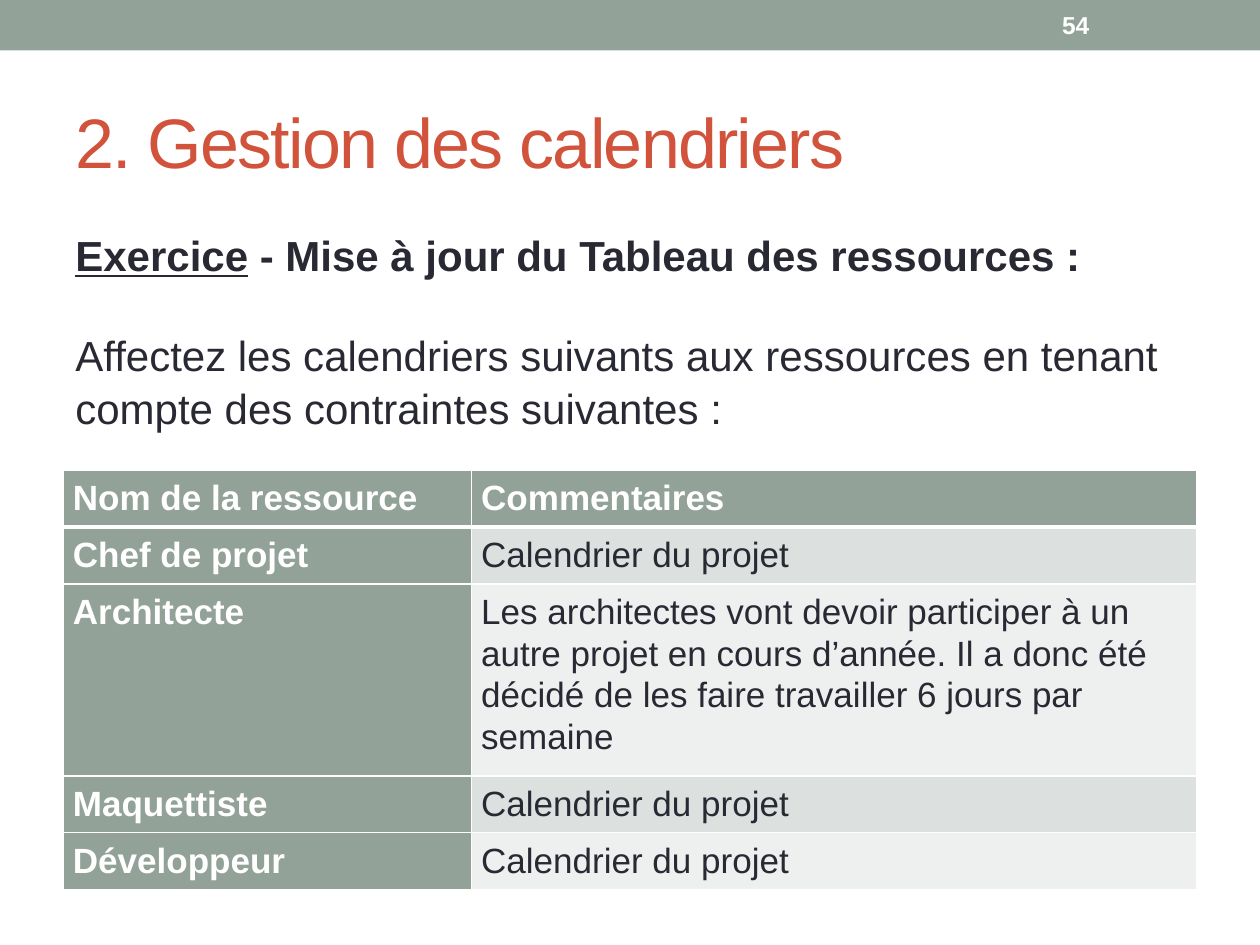
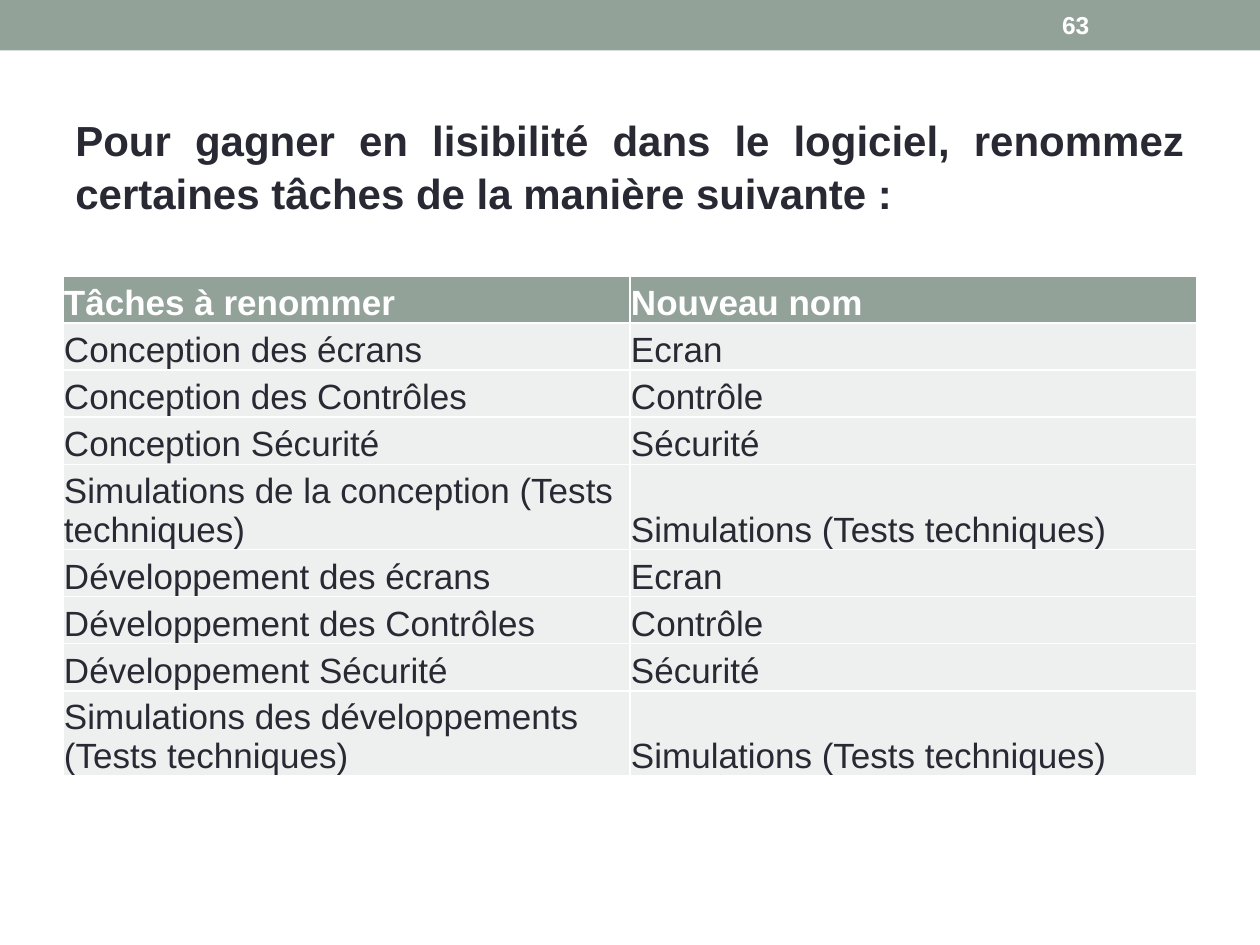
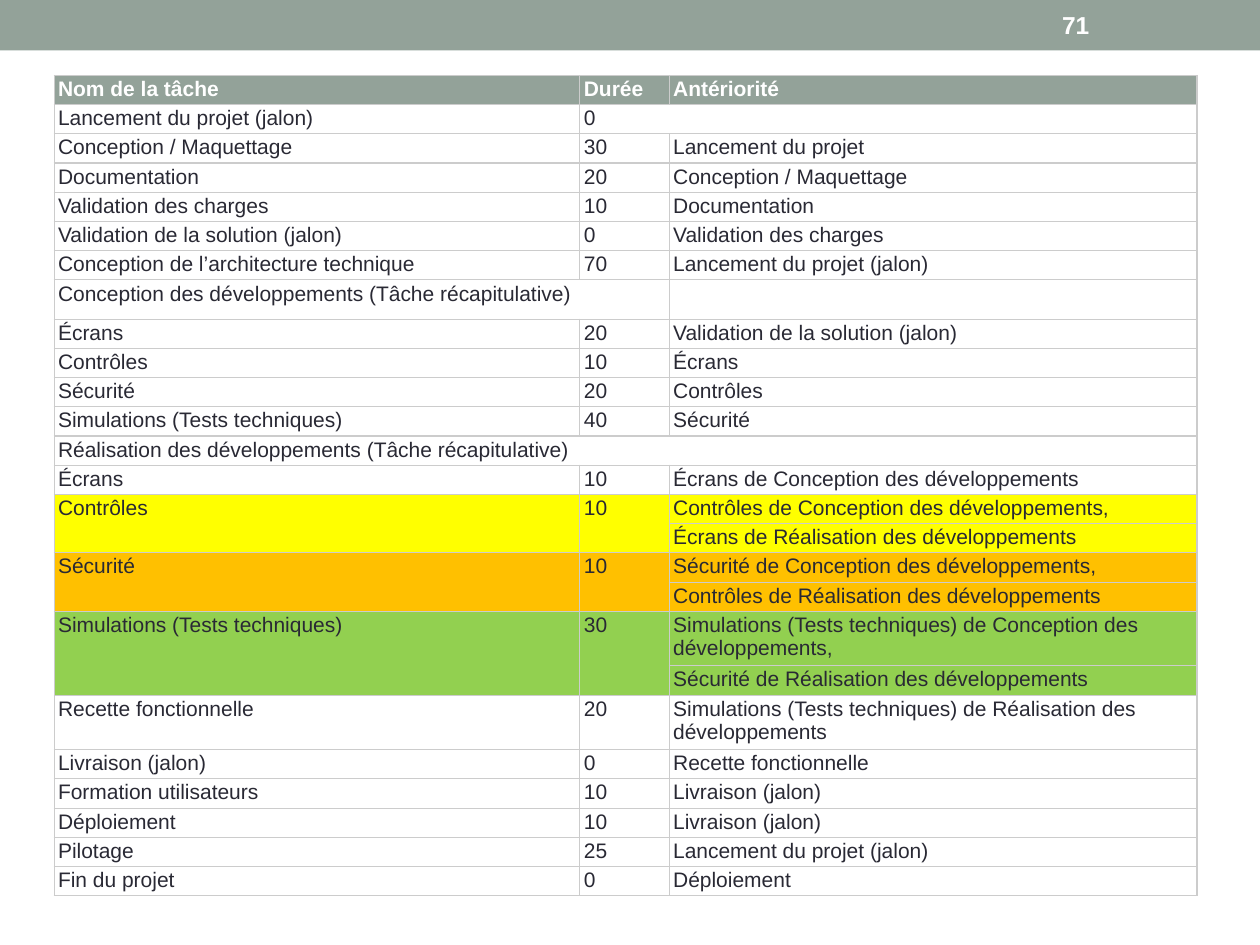
from dataclasses import dataclass

from lxml.etree import SubElement
from pptx import Presentation
from pptx.dml.color import RGBColor
from pptx.enum.shapes import MSO_SHAPE as Shape
from pptx.enum.text import MSO_ANCHOR as Anchor, PP_ALIGN as Align
from pptx.oxml.ns import qn
from pptx.util import Cm, Pt

FONT = "Arial"
SAGE, RED, INK, WHITE = "93A299", "D2533C", "292934", "FFFFFF"
BAND_DARK, BAND_LIGHT, GRID = "DCE0DE", "EEF0EF", "CCCCCC"
YELLOW, ORANGE, GREEN = "FFFF00", "FFC000", "92D050"
SLIDE_WIDTH, SLIDE_HEIGHT = 25.4, 19.05
MARGIN, CONTENT_WIDTH = 1.27, 22.86

RESOURCES = [
    ("Nom de la ressource", "Commentaires"),
    ("Chef de projet", "Calendrier du projet"),
    ("Architecte", "Les architectes vont devoir participer à un autre projet en cours "
     "d’année. Il a donc été décidé de les faire travailler 6 jours par semaine"),
    ("Maquettiste", "Calendrier du projet"),
    ("Développeur", "Calendrier du projet"),
]

RENAMINGS = [
    ("Tâches à renommer", "Nouveau nom"),
    ("Conception des écrans", "Ecran"),
    ("Conception des Contrôles", "Contrôle"),
    ("Conception Sécurité", "Sécurité"),
    ("Simulations de la conception (Tests techniques)", "Simulations (Tests techniques)"),
    ("Développement des écrans", "Ecran"),
    ("Développement des Contrôles", "Contrôle"),
    ("Développement Sécurité", "Sécurité"),
    ("Simulations des développements (Tests techniques)", "Simulations (Tests techniques)"),
]

TASKS = [
    ("Nom de la tâche", "Durée", "Antériorité"),
    ("Lancement du projet (jalon)", "0", ""),
    ("Conception / Maquettage", "30", "Lancement du projet"),
    ("Documentation", "20", "Conception / Maquettage"),
    ("Validation des charges", "10", "Documentation"),
    ("Validation de la solution (jalon)", "0", "Validation des charges"),
    ("Conception de l’architecture technique", "70", "Lancement du projet (jalon)"),
    ("Conception des développements (Tâche récapitulative)", "", ""),
    ("Écrans", "20", "Validation de la solution (jalon)"),
    ("Contrôles", "10", "Écrans"),
    ("Sécurité", "20", "Contrôles"),
    ("Simulations (Tests techniques)", "40", "Sécurité"),
    ("Réalisation des développements (Tâche récapitulative)", "", ""),
    ("Écrans", "10", "Écrans de Conception des développements"),
    ("Contrôles", "10", "Contrôles de Conception des développements,"),
    ("", "", "Écrans de Réalisation des développements"),
    ("Sécurité", "10", "Sécurité de Conception des développements,"),
    ("", "", "Contrôles de Réalisation des développements"),
    ("Simulations (Tests techniques)", "30",
     "Simulations (Tests techniques) de Conception des développements,"),
    ("", "", "Sécurité de Réalisation des développements"),
    ("Recette fonctionnelle", "20",
     "Simulations (Tests techniques) de Réalisation des développements"),
    ("Livraison (jalon)", "0", "Recette fonctionnelle"),
    ("Formation utilisateurs", "10", "Livraison (jalon)"),
    ("Déploiement", "10", "Livraison (jalon)"),
    ("Pilotage", "25", "Lancement du projet (jalon)"),
    ("Fin du projet", "0", "Déploiement"),
]
HIGHLIGHTS = {14: YELLOW, 16: ORANGE, 18: GREEN}


@dataclass
class TableStyle:
    size: int
    side_inset: float
    top_inset: float
    bottom_inset: float
    line_color: str = WHITE
    line_width: float = 1
    header_rule: float = 1
    line_spacing: float = 1.0
    anchor: Anchor = Anchor.TOP


def rgb(hex_color):
    return RGBColor.from_string(hex_color)


def style_paragraph(paragraph, size, color, bold=False):
    font = paragraph.font
    font.name, font.size, font.bold = FONT, Pt(size), bold
    font.color.rgb = rgb(color)


def add_text_frame(slide, left, top, width, height, anchor=Anchor.TOP):
    frame = slide.shapes.add_textbox(Cm(left), Cm(top), Cm(width), Cm(height)).text_frame
    frame.word_wrap = True
    frame.vertical_anchor = anchor
    return frame


def add_page(deck, number):
    slide = deck.slides.add_slide(deck.slide_layouts[6])
    band = slide.shapes.add_shape(Shape.RECTANGLE, 0, 0, Cm(SLIDE_WIDTH), Cm(1.02))
    band.shadow.inherit = False
    band.fill.solid()
    band.fill.fore_color.rgb = rgb(SAGE)
    band.line.fill.background()
    page_number = add_text_frame(slide, 21.16, 0.05, 2.97, 0.91, Anchor.MIDDLE).paragraphs[0]
    page_number.text = str(number)
    style_paragraph(page_number, 14, WHITE, bold=True)
    return slide


def add_title(slide, text, left, top, width, height):
    title = add_text_frame(slide, left, top, width, height, Anchor.MIDDLE).paragraphs[0]
    run = title.add_run()
    run.text = text
    run.font._element.set("spc", "-100")
    style_paragraph(title, 40, RED)


def add_body_paragraph(paragraph, text, bold):
    paragraph.add_run().text = text
    paragraph.line_spacing = 1.05
    style_paragraph(paragraph, 24, INK, bold)


def set_borders(cell, style, row):
    properties = cell._tc.get_or_add_tcPr()
    widths = {
        "lnL": style.line_width,
        "lnR": style.line_width,
        "lnT": style.header_rule if row == 1 else style.line_width,
        "lnB": style.header_rule if row == 0 else style.line_width,
    }
    for side, width in widths.items():
        line = SubElement(properties, qn(f"a:{side}"), w=str(Pt(width)))
        fill = SubElement(line, qn("a:solidFill"))
        SubElement(fill, qn("a:srgbClr"), val=style.line_color)


def fill_cell(cell, text, row, style, fill, color, bold):
    cell.margin_left = cell.margin_right = Cm(style.side_inset)
    cell.margin_top, cell.margin_bottom = Cm(style.top_inset), Cm(style.bottom_inset)
    cell.vertical_anchor = style.anchor
    set_borders(cell, style, row)
    cell.fill.solid()
    cell.fill.fore_color.rgb = rgb(fill)
    paragraph = cell.text_frame.paragraphs[0]
    if text:
        paragraph.text = text
    paragraph.line_spacing = style.line_spacing
    style_paragraph(paragraph, style.size, color, bold)


def add_grid(slide, rows, left, top, widths, heights, style, body_fill, header_column=False):
    frame = slide.shapes.add_table(len(rows), len(widths), Cm(left), Cm(top),
                                   Cm(sum(widths)), Cm(sum(heights)))
    table = frame.table
    table.horz_banding = False
    for column, width in zip(table.columns, widths):
        column.width = Cm(width)
    for r, (texts, height) in enumerate(zip(rows, heights)):
        table.rows[r].height = Cm(height)
        for c, text in enumerate(texts):
            header = r == 0 or (header_column and c == 0)
            fill_cell(table.cell(r, c), text, r, style,
                      SAGE if header else body_fill(r), WHITE if header else INK, header)
    return table


def build_resources(deck):
    slide = add_page(deck, 54)
    add_title(slide, "2. Gestion des calendriers", MARGIN, 1.47, CONTENT_WIDTH, 2.74)
    body = add_text_frame(slide, MARGIN, 4.45, CONTENT_WIDTH, 4.8)
    heading = body.paragraphs[0]
    add_body_paragraph(heading, "Exercice", True)
    heading.runs[0].font.underline = True
    add_body_paragraph(heading, "\u00a0- Mise à jour du Tableau des ressources :".replace("\u00a0", " "), True)
    instruction = body.add_paragraph()
    add_body_paragraph(instruction, "Affectez les calendriers suivants aux ressources en tenant "
                       "compte des contraintes suivantes :", False)
    instruction.space_before = Pt(27)
    style = TableStyle(20, 0.2, 0.12, 0.12, header_rule=3, line_spacing=1.07)
    heights = [3.6 if name == "Architecte" else 1.1 for name, _ in RESOURCES]
    add_grid(slide, RESOURCES, MARGIN, 9.48, [8.23, 14.63], heights, style,
             lambda row: BAND_DARK if row % 2 else BAND_LIGHT, header_column=True)


def build_renamings(deck):
    slide = add_page(deck, 63)
    instruction = add_text_frame(slide, MARGIN, 2.13, CONTENT_WIDTH, 3).paragraphs[0]
    add_body_paragraph(instruction, "Pour gagner en lisibilité dans le logiciel, renommez "
                       "certaines tâches de la manière suivante :", True)
    instruction.alignment = Align.JUSTIFY
    style = TableStyle(20, 0.02, 0.02, 0, anchor=Anchor.BOTTOM)
    heights = [1.71 if task.startswith("Simulations") else 0.95 for task, _ in RENAMINGS]
    add_grid(slide, RENAMINGS, MARGIN, 5.56, [CONTENT_WIDTH / 2] * 2, heights, style,
             lambda row: BAND_LIGHT)


def build_tasks(deck):
    slide = add_page(deck, 71)
    style = TableStyle(12, 0.08, 0.04, 0.04, line_color=GRID, line_width=0.75)
    tall_rows = {7: 0.79, 18: 1.1, 20: 1.1}
    heights = [tall_rows.get(row, 0.57) for row in range(len(TASKS))]
    fills = {row + offset: color for row, color in HIGHLIGHTS.items() for offset in (0, 1)}
    table = add_grid(slide, TASKS, 1.09, 1.52, [10.6, 1.8, 10.64], heights, style,
                     lambda row: fills.get(row, WHITE))
    merges = [((1, 1), (1, 2)), ((7, 0), (7, 1)), ((12, 0), (12, 2))]
    merges += [((row, column), (row + 1, column)) for row in HIGHLIGHTS for column in (0, 1)]
    for first, last in merges:
        table.cell(*first).merge(table.cell(*last))


def main():
    deck = Presentation()
    deck.slide_width, deck.slide_height = Cm(SLIDE_WIDTH), Cm(SLIDE_HEIGHT)
    build_resources(deck)
    build_renamings(deck)
    build_tasks(deck)
    deck.save("out.pptx")


if __name__ == "__main__":
    main()
